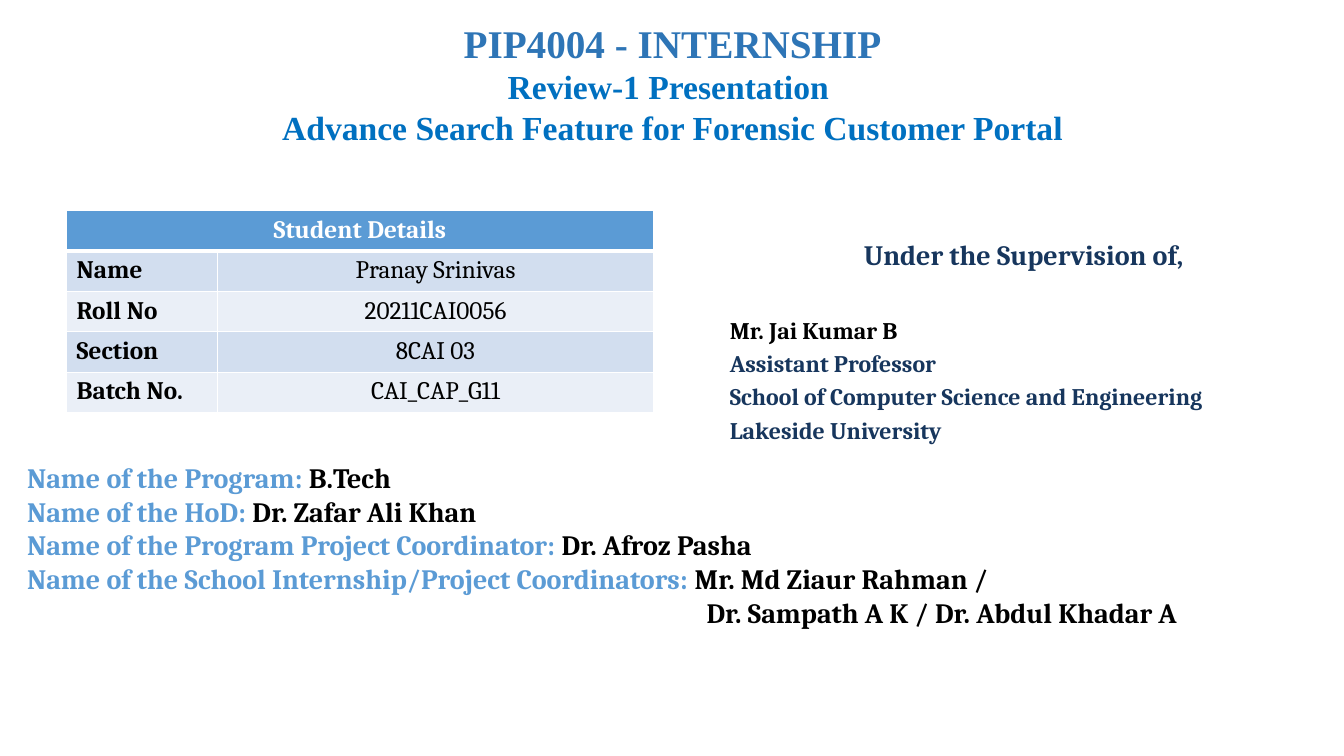
import pptx
import pptx.util
import pptx.dml.color
import pptx.enum.text
import pptx.oxml
import pptx.oxml.ns

Inches, Pt = pptx.util.Inches, pptx.util.Pt
RGBColor = pptx.dml.color.RGBColor
PP_ALIGN = pptx.enum.text.PP_ALIGN

BLACK = RGBColor(0x00, 0x00, 0x00)
WHITE = RGBColor(0xFF, 0xFF, 0xFF)
NAVY = RGBColor(0x17, 0x36, 0x5D)
BLUE = RGBColor(0x5B, 0x9B, 0xD5)
STEEL = RGBColor(0x2E, 0x75, 0xB6)
BRIGHT = RGBColor(0x00, 0x70, 0xC0)
BANDS = [RGBColor(0xD2, 0xDE, 0xEF), RGBColor(0xEA, 0xEF, 0xF7)]
SERIF, TIMES = "Cambria", "Times New Roman"

TITLE = [
    ("PIP4004 - INTERNSHIP", 28, STEEL),
    ("Review-1 Presentation ", 24, BRIGHT),
    ("Advance Search Feature for Forensic Customer Portal", 24, BRIGHT),
]
TABLE_HEADER = "Student Details"
STUDENT = [
    ("Name", "Pranay Srinivas"),
    ("Roll No", "20211CAI0056"),
    ("Section", "8CAI 03"),
    ("Batch No.", "CAI_CAP_G11"),
]
COLUMNS, ROW_HEIGHT = (1.5, 4.32), 0.4
SUPERVISION = "Under the Supervision of,"
SUPERVISOR = [  # text, colour, space before in points
    ("Mr. Jai Kumar B", BLACK, 31.4),
    ("Assistant Professor", NAVY, 3.4),
    ("School of Computer Science and Engineering", NAVY, 3.4),
    ("Lakeside University", NAVY, 3.4),
]
STAFF = [
    ("Name of the Program: ", "B.Tech"),
    ("Name of the HoD: ", "Dr. Zafar Ali Khan"),
    ("Name of the Program Project Coordinator: ", "Dr. Afroz Pasha"),
    ("Name of the School Internship/Project Coordinators: ", "Mr. Md Ziaur Rahman /"),
    ("", "Dr. Sampath A K / Dr. Abdul Khadar A"),
]
CONTINUATION_INDENT = 6.74


def add_text_box(s, left, top, width, height):
    tf = s.shapes.add_textbox(*map(Inches, (left, top, width, height))).text_frame
    tf.word_wrap = True
    return tf


def add_line(tf, runs, size, font=SERIF, align=PP_ALIGN.LEFT, before=0, bold=True):
    """Fill the first empty paragraph, or a new one, with (text, colour) runs."""
    p = tf.paragraphs[-1]
    if p.runs:
        p = tf.add_paragraph()
    p.alignment, p.space_before = align, Pt(before)
    p.font.name, p.font.size, p.font.bold = font, Pt(size), bold
    for text, color in runs:
        r = p.add_run()
        r.text = text
        r.font.color.rgb = color
    return p


def style_cell(cell, fill, bottom=1):
    """Draw white borders round the cell, then its fill."""
    tcPr = cell._tc.get_or_add_tcPr()
    for side in "LRTB":
        width = Pt(bottom if side == "B" else 1)
        tcPr.append(pptx.oxml.parse_xml(
            f'<a:ln{side} {pptx.oxml.ns.nsdecls("a")} w="{width}"><a:solidFill>'
            f'<a:srgbClr val="{WHITE}"/></a:solidFill></a:ln{side}>'))
    cell.fill.solid()
    cell.fill.fore_color.rgb = fill


def add_student_table(s):
    rows = len(STUDENT) + 1
    table = s.shapes.add_table(rows, 2, Inches(0.66), Inches(2.09),
                               Inches(sum(COLUMNS)), Inches(rows * ROW_HEIGHT)).table
    for column, width in zip(table.columns, COLUMNS):
        column.width = Inches(width)
    for i in range(2):
        style_cell(table.cell(0, i), BLUE, bottom=3)
    table.cell(0, 0).merge(table.cell(0, 1))
    add_line(table.cell(0, 0).text_frame, [(TABLE_HEADER, WHITE)], 18, align=PP_ALIGN.CENTER)
    for i, (label, value) in enumerate(STUDENT):
        for j, text in enumerate((label, value)):
            cell = table.cell(i + 1, j)
            style_cell(cell, BANDS[i % 2])
            add_line(cell.text_frame, [(text, BLACK)], 18, bold=j == 0,
                     align=PP_ALIGN.CENTER if j else PP_ALIGN.LEFT)


def main():
    prs = pptx.Presentation()
    prs.slide_width, prs.slide_height = Inches(13.33), Inches(7.5)
    s = prs.slides.add_slide(prs.slide_layouts[6])

    tf = add_text_box(s, 7.14, 2.31, 6.03, 2.21)
    add_line(tf, [(SUPERVISION, NAVY)], 20, align=PP_ALIGN.CENTER)
    for text, color, before in SUPERVISOR:
        add_line(tf, [(text, color)], 17, before=before)

    tf = add_text_box(s, 0.17, 4.52, 13.4, 1.71)
    for label, name in STAFF:
        if label:
            add_line(tf, [(label, BLUE), (name, BLACK)], 20)
        else:
            p = add_line(tf, [(name, BLACK)], 20)
            p._p.get_or_add_pPr().set("marL", str(Inches(CONTINUATION_INDENT)))

    tf = add_text_box(s, 0.92, 0.14, 11.5, 1.71)
    for text, size, color in TITLE:
        add_line(tf, [(text, color)], size, TIMES, PP_ALIGN.CENTER)

    add_student_table(s)
    prs.save("out.pptx")


if __name__ == "__main__":
    main()
